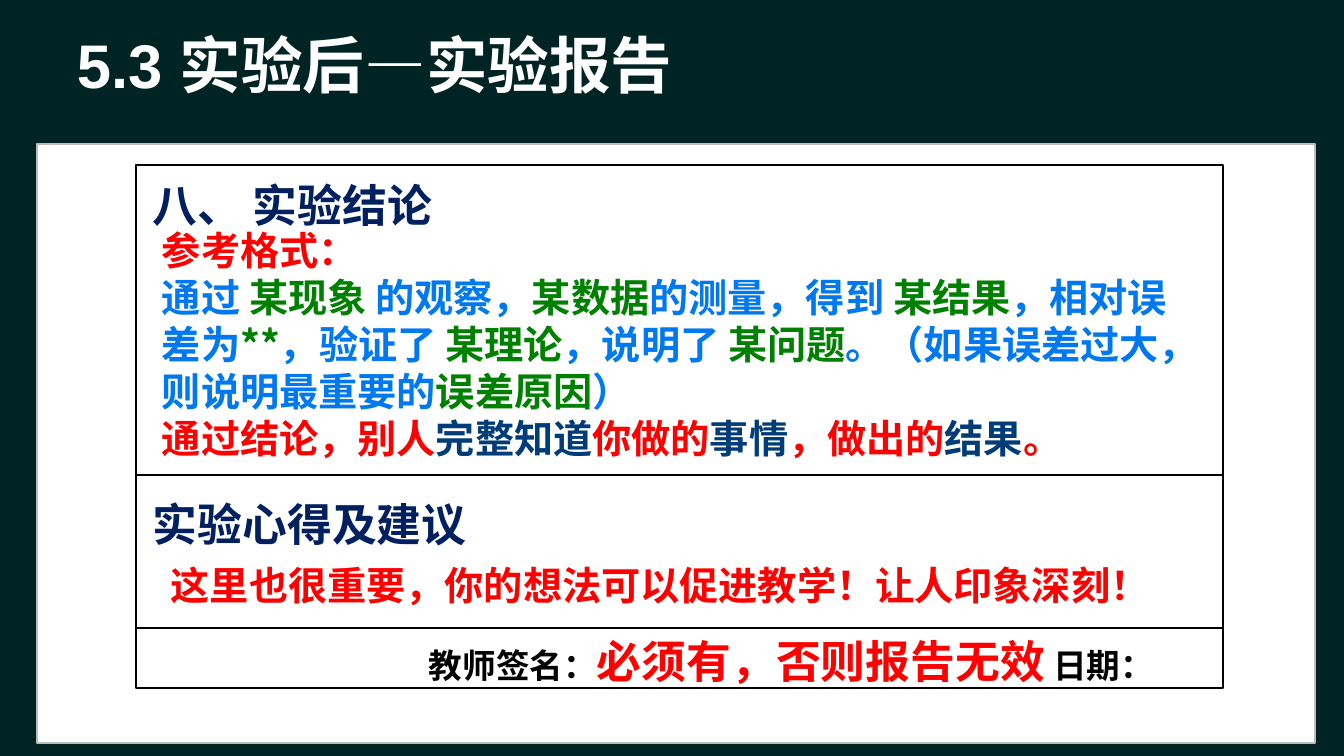
from pptx import Presentation
from pptx.dml.color import RGBColor
from pptx.enum.shapes import MSO_SHAPE
from pptx.util import Emu, Pt
from lxml import etree

RECTANGLE = MSO_SHAPE.RECTANGLE
DRAWING = "{http://schemas.openxmlformats.org/drawingml/2006/main}"
EMU_PER_PX = 914400 / 100.8

CJK_FONT = "Noto Sans CJK SC"
WHITE, BLACK, GRAY = "FFFFFF", "000000", "BDBDBD"
BACKGROUND, NAVY, RED = "002323", "002060", "FF0000"
BLUE, GREEN, DEEP_BLUE = "0078F0", "008000", "003C78"


def px(length):
    return Emu(round(length * EMU_PER_PX))


def color(hex_text):
    return RGBColor.from_string(hex_text)


class ReportPage:
    """Holds the text style and the slide being built."""

    def __init__(self, deck):
        self.page = deck.slides.add_slide(deck.slide_layouts[6])
        fill = self.page.background.fill
        fill.solid()
        fill.fore_color.rgb = color(BACKGROUND)

    def frame(self, left, top, width, height, line, fill=None):
        box = self.page.shapes.add_shape(
            RECTANGLE, px(left), px(top), px(width), px(height))
        box.shadow.inherit = False
        if fill:
            box.fill.solid()
            box.fill.fore_color.rgb = color(fill)
        else:
            box.fill.background()
        box.line.color.rgb = color(line)
        box.line.width = Pt(2)

    def text(self, left, top, width, height, paragraphs, size,
             font=CJK_FONT, spacing=None, wrap=True):
        """Each paragraph is a list of (words, colour) or (words, colour, size)."""
        box = self.page.shapes.add_textbox(
            px(left), px(top), px(width), px(height))
        frame = box.text_frame
        frame.word_wrap = wrap
        for index, spans in enumerate(paragraphs):
            para = frame.add_paragraph() if index else frame.paragraphs[0]
            para.line_spacing = spacing or Pt(size * 1.2)
            for words, hex_text, *own_size in spans:
                span = para.add_run()
                span.text = words
                span.font.size = Pt(own_size[0] if own_size else size)
                span.font.bold = True
                span.font.name = font
                span.font.color.rgb = color(hex_text)
                east_asian = etree.SubElement(
                    span.font._element, DRAWING + "ea")
                east_asian.set("typeface", CJK_FONT)


def main():
    deck = Presentation()
    deck.slide_width, deck.slide_height = px(1344), px(756)
    report = ReportPage(deck)

    report.frame(37, 144, 1278, 599, GRAY, WHITE)
    report.frame(136, 475, 1087, 213, BLACK)
    report.frame(136, 165, 1087, 463, BLACK)

    report.text(143, 173, 305, 65, [[("八、 实验结论", NAVY)]], 32, wrap=False)
    report.text(143, 492, 337, 65, [[("实验心得及建议", NAVY)]], 32, wrap=False)
    report.text(152, 221, 1047, 248, [
        [("参考格式：", RED)],
        [("通过 ", BLUE), ("某现象 ", GREEN), ("的观察，", BLUE),
         ("某数据", GREEN), ("的测量，得到 ", BLUE), ("某结果", GREEN),
         ("，相对误差为", BLUE), ("**", GREEN), ("，验证了 ", BLUE),
         ("某理论", GREEN), ("，说明了 ", BLUE), ("某问题", GREEN),
         ("。（如果误差过大，则说明最重要的", BLUE),
         ("误差原因", GREEN), ("）", BLUE)],
        [("通过结论，别人", RED), ("完整知道", DEEP_BLUE), ("你做的", RED),
         ("事情", DEEP_BLUE), ("，做出的", RED), ("结果", DEEP_BLUE),
         ("。", RED)],
    ], 28)
    report.text(419, 629, 754, 65, [
        [("教师签名：", BLACK, 24), ("必须有，否则报告无效", RED),
         (" 日期：", BLACK, 24)],
    ], 32, wrap=False)
    report.text(152, 556, 1020, 57, [
        [(" 这里也很重要，你的想法可以促进教学！让人印象深刻！", RED)],
    ], 28)
    report.text(67, 30, 1210, 126, [[("5.3 实验后—实验报告", WHITE)]], 44,
                font="Arial", spacing=0.9)

    deck.save("out.pptx")


if __name__ == "__main__":
    main()
